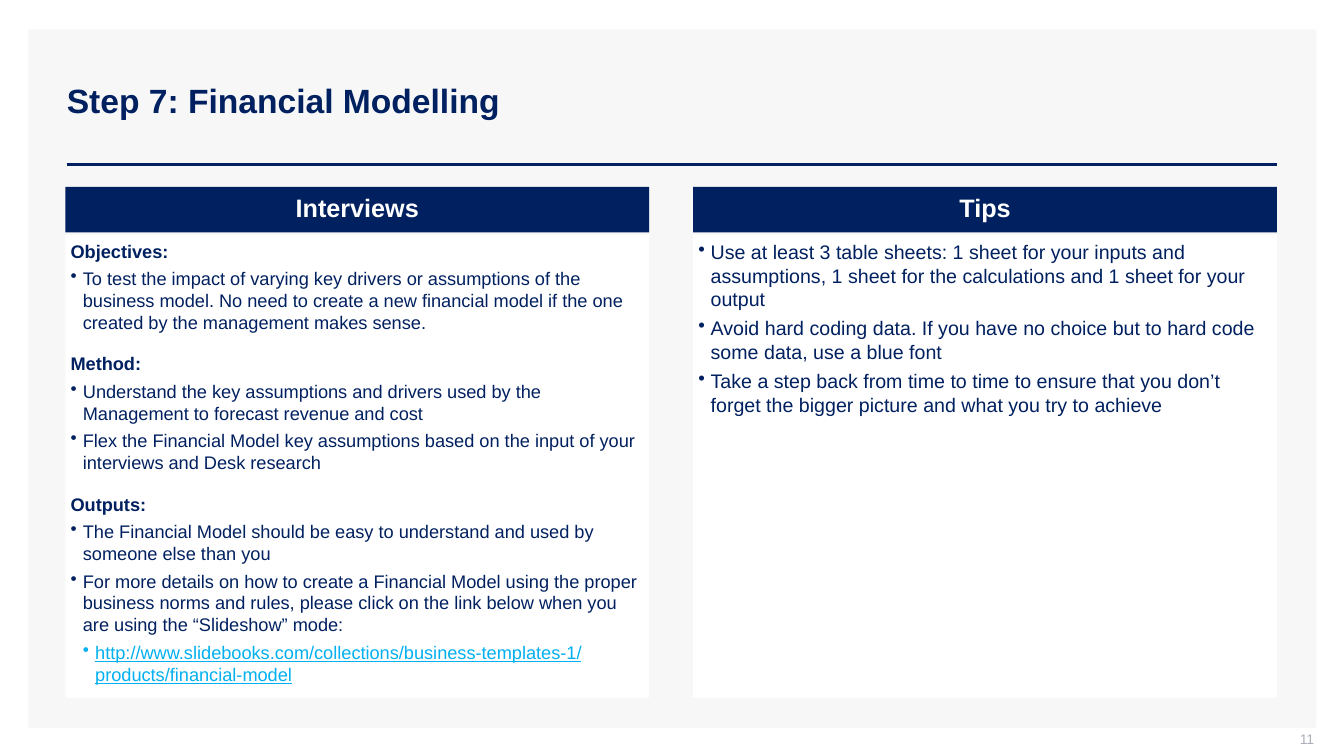
from dataclasses import dataclass

from lxml import etree
from pptx import Presentation
from pptx import util as u
from pptx.dml.color import RGBColor
from pptx.enum import shapes, text
from pptx.oxml import ns


@dataclass(frozen=True)
class Theme:
    font: str = "Arial"
    navy: RGBColor = RGBColor(0x00, 0x20, 0x60)
    panel: RGBColor = RGBColor(0xF7, 0xF7, 0xF7)
    white: RGBColor = RGBColor(0xFF, 0xFF, 0xFF)
    link: RGBColor = RGBColor(0x00, 0xB0, 0xF0)
    grey: RGBColor = RGBColor(0xAD, 0xAF, 0xBB)
    title: int = 24
    header: int = 18
    tips: int = 14
    interviews: int = 13
    number: int = 10


theme = Theme()


def add_box(left, top, width, height, fill):
    sp = s.shapes.add_shape(shapes.MSO_SHAPE.RECTANGLE, u.Cm(left), u.Cm(top), u.Cm(width), u.Cm(height))
    sp.shadow.inherit = False
    sp.fill.solid()
    sp.fill.fore_color.rgb = fill
    sp.line.fill.background()
    tf = sp.text_frame
    tf.word_wrap = True
    tf.margin_left = tf.margin_right = tf.margin_top = tf.margin_bottom = u.Cm(0.13)
    return sp


def add_run(p, words, size, color, bold=False):
    r = p.add_run()
    r.text = words
    r.font.name = theme.font
    r.font.size = u.Pt(size)
    r.font.color.rgb = color
    r.font.bold = bold
    return r


prs = Presentation()
prs.slide_width, prs.slide_height = u.Cm(33.87), u.Cm(19.05)
s = prs.slides.add_slide(prs.slide_layouts[5])

# Title on its grey panel
title = s.shapes.title
panel = add_box(0.71, 0.74, 32.46, 17.6, theme.panel)
title._element.addprevious(panel._element)
title.left, title.top, title.width, title.height = u.Cm(1.43), u.Cm(1.02), u.Cm(30.75), u.Cm(3.02)
tf = title.text_frame
tf.auto_size = text.MSO_AUTO_SIZE.NONE
tf.vertical_anchor = text.MSO_ANCHOR.MIDDLE
p = tf.paragraphs[0]
p.alignment = text.PP_ALIGN.LEFT
add_run(p, "Step 7: Financial Modelling", theme.title, theme.navy, True)

# Rule below the title
rule = s.shapes.add_connector(shapes.MSO_CONNECTOR.STRAIGHT, u.Cm(1.68), u.Cm(4.14), u.Cm(32.18), u.Cm(4.14))
rule.line.color.rgb = theme.navy
rule.line.width = u.Pt(2)
etree.SubElement(rule._element.spPr, ns.qn("a:effectLst"))

# Two columns: heading, text size, then (kind, words) per paragraph
columns = [
    ("Interviews", theme.interviews, [
        ("head", "Objectives:"),
        ("bullet", "To test the impact of varying key drivers or assumptions of the business model. "
                   "No need to create a new financial model if the one created by the management makes sense."),
        ("head", "Method:"),
        ("bullet", "Understand the key assumptions and drivers used by the Management to forecast revenue and cost"),
        ("bullet", "Flex the Financial Model key assumptions based on the input of your interviews and Desk research"),
        ("head", "Outputs:"),
        ("bullet", "The Financial Model should be easy to understand and used by someone else than you"),
        ("bullet", "For more details on how to create a Financial Model using the proper business norms and rules, "
                   "please click on the link below when you are using the “Slideshow” mode:"),
        ("link", "http://www.slidebooks.com/collections/business-templates-1/products/financial-model"),
    ]),
    ("Tips", theme.tips, [
        ("bullet", "Use at least 3 table sheets: 1 sheet for your inputs and assumptions, "
                   "1 sheet for the calculations and 1 sheet for your output"),
        ("bullet", "Avoid hard coding data. If you have no choice but to hard code some data, use a blue font"),
        ("bullet", "Take a step back from time to time to ensure that you don’t forget the bigger picture "
                   "and what you try to achieve"),
    ]),
]
column_width, column_pitch = 14.71, 15.82
hang = u.Cm(0.31)
indents = {"bullet": hang, "link": 2 * hang}

for i, (heading, size, lines) in enumerate(columns):
    left = 1.65 + i * column_pitch

    # Column heading
    header = add_box(left, 4.71, column_width, 1.15, theme.navy)
    header.text_frame.vertical_anchor = text.MSO_ANCHOR.MIDDLE
    p = header.text_frame.paragraphs[0]
    p.alignment = text.PP_ALIGN.CENTER
    p.line_spacing = 0.9
    add_run(p, heading, theme.header, theme.white, True)

    # Column text
    tf = add_box(left, 5.92, column_width, 11.66, theme.white).text_frame
    tf.vertical_anchor = text.MSO_ANCHOR.TOP
    for n, (kind, words) in enumerate(lines):
        p = tf.add_paragraph() if n else tf.paragraphs[0]
        if kind in indents:
            pPr = p._p.get_or_add_pPr()
            pPr.set("marL", str(indents[kind]))
            pPr.set("indent", str(-hang))
            etree.SubElement(pPr, ns.qn("a:buChar"), char="•")
        p.alignment = text.PP_ALIGN.LEFT
        p.space_after = u.Pt(2)
        if n:
            p.space_before = u.Pt(12 if kind == "head" else 2)
        r = add_run(p, words, size, theme.link if kind == "link" else theme.navy, kind == "head")
        if kind == "link":
            r.font.underline = True

# Page number
number = s.shapes.add_textbox(u.Cm(25.5), u.Cm(18.42), u.Cm(7.62), u.Cm(0.53))
tf = number.text_frame
tf.word_wrap = True
tf.vertical_anchor = text.MSO_ANCHOR.MIDDLE
tf.margin_left, tf.margin_top, tf.margin_right, tf.margin_bottom = u.Cm(0.25), 0, 0, u.Cm(0.13)
p = tf.paragraphs[0]
p.alignment = text.PP_ALIGN.RIGHT
add_run(p, "11", theme.number, theme.grey)

prs.save("out.pptx")
